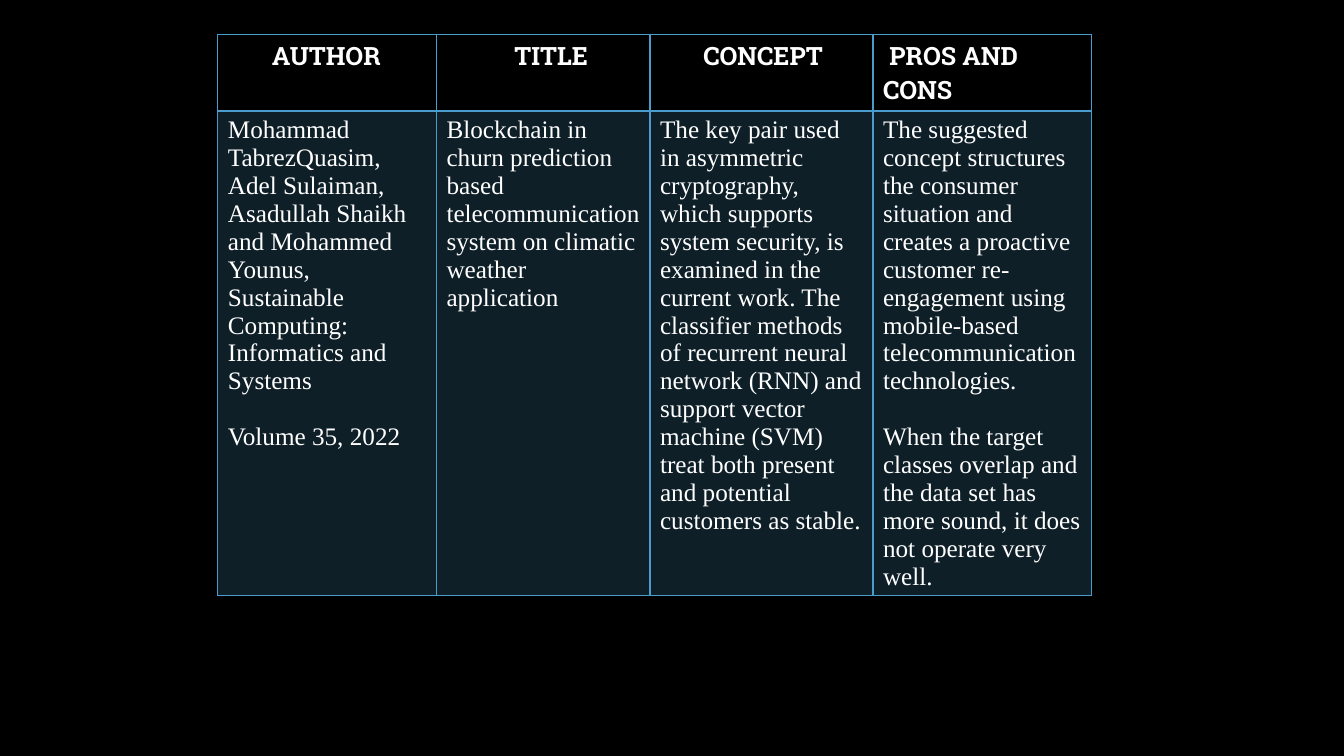
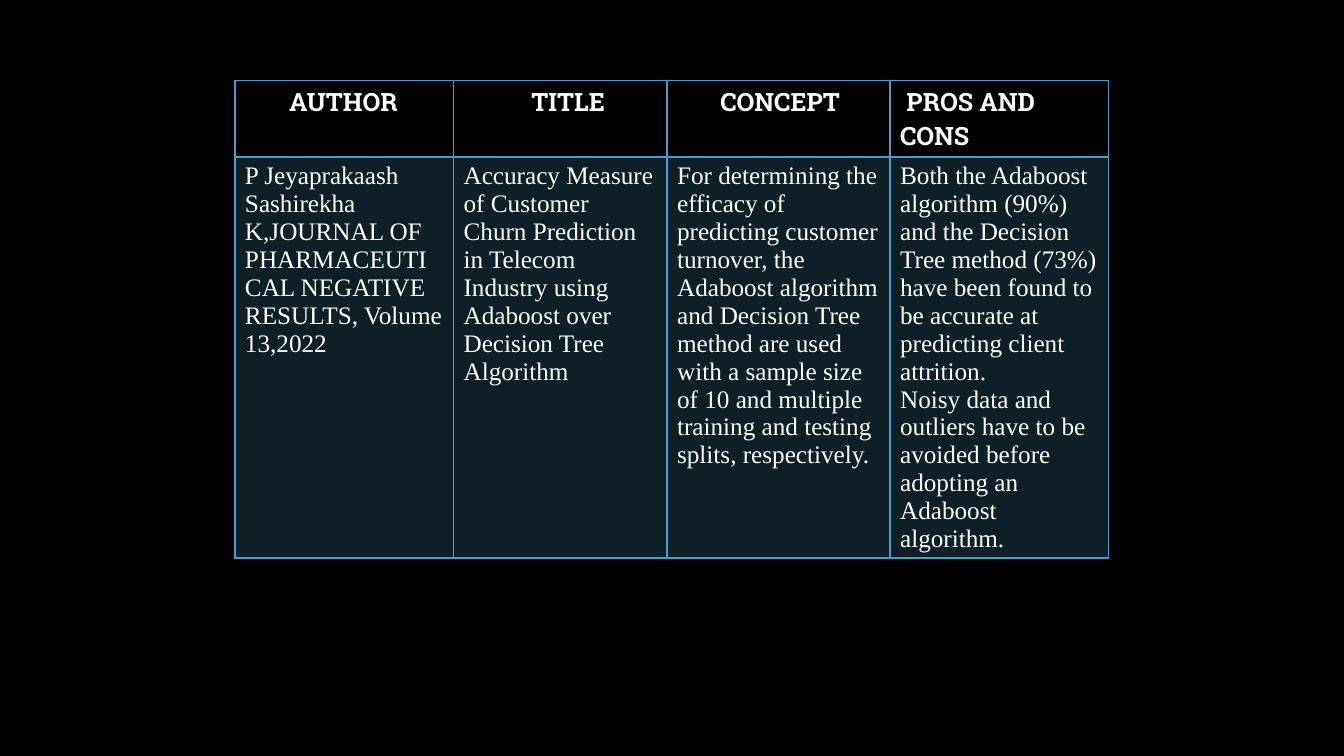
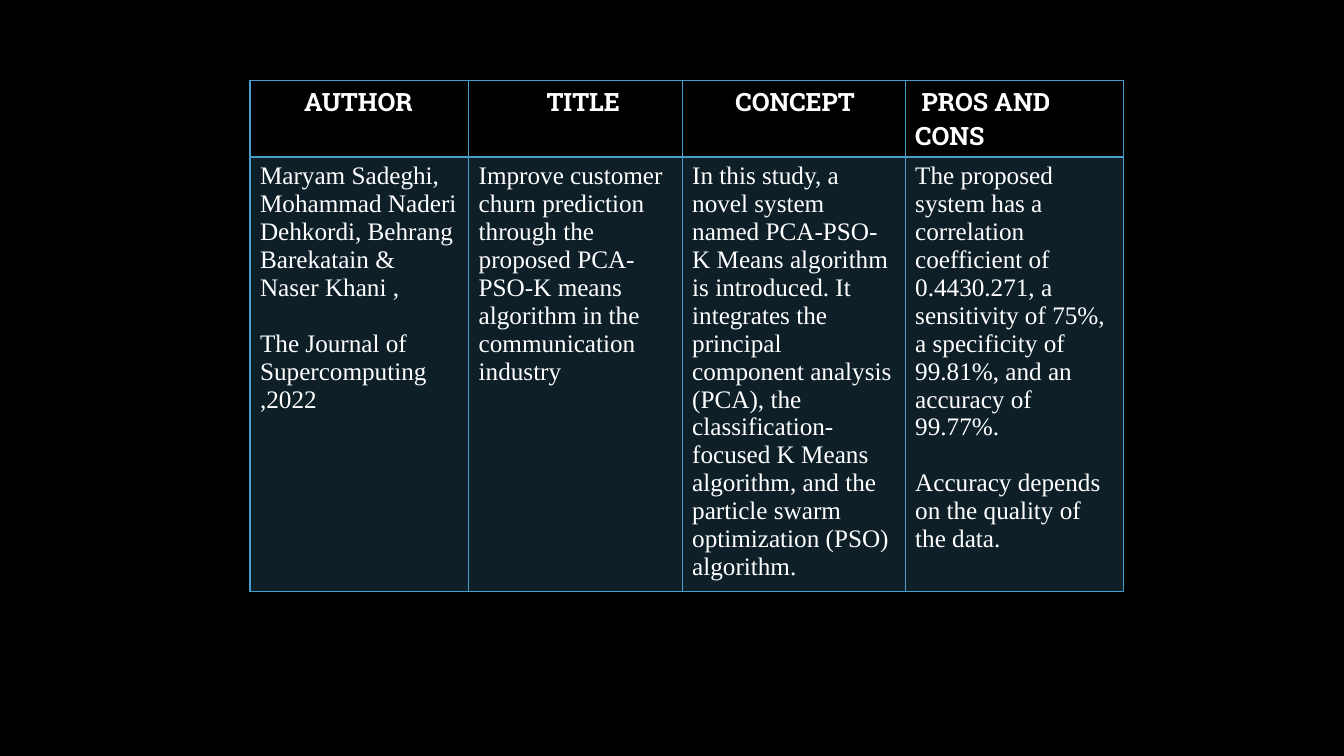
from lxml.etree import SubElement
from pptx import Presentation
from pptx.dml.color import RGBColor
from pptx.oxml import parse_xml
from pptx.oxml.ns import nsdecls, qn
from pptx.util import Cm, Pt

BLACK = RGBColor(0x00, 0x00, 0x00)
WHITE = RGBColor(0xFF, 0xFF, 0xFF)
BLUE = RGBColor(0x4A, 0x9C, 0xCC)

HEADING_FONT = "Roboto Slab"
BODY_FONT = "Times New Roman"
BODY_TINT = 20
HEADINGS = [("AUTHOR", 1.11), ("TITLE", 1.71), ("CONCEPT", 1.09), ("PROS AND CONS", 0.16)]
COLUMN_WIDTHS = [5.51, 5.38, 5.62, 5.51]
HEADER_HEIGHT = 1.92
BLANK_LAYOUT = 6

STUDIES = [
    {
        "left": 5.49, "top": 0.87, "body_height": 12.2, "cons_gap": 20,
        "entries": [
            ["Mohammad TabrezQuasim, Adel Sulaiman, Asadullah Shaikh and Mohammed Younus, "
             "Sustainable Computing: Informatics and Systems",
             "Volume 35, 2022"],
            ["Blockchain in churn prediction based telecommunication system on climatic "
             "weather application"],
            ["The key pair used in asymmetric cryptography, which supports system security, "
             "is examined in the current work. The classifier methods of recurrent neural "
             "network (RNN) and support vector machine (SVM) treat both present and potential "
             "customers as stable."],
            ["The suggested concept structures the consumer situation and creates a proactive "
             "customer re-engagement using mobile-based telecommunication technologies.",
             "When the target classes overlap and the data set has more sound, it does not "
             "operate very well."],
        ],
    },
    {
        "left": 5.92, "top": 2.03, "body_height": 10.08, "cons_gap": 0,
        "entries": [
            ["P Jeyaprakaash",
             "Sashirekha K,JOURNAL OF PHARMACEUTICAL NEGATIVE RESULTS, Volume 13,2022"],
            ["Accuracy Measure of Customer Churn Prediction in Telecom Industry using Adaboost "
             "over Decision Tree Algorithm"],
            ["For determining the efficacy of predicting customer turnover, the Adaboost "
             "algorithm and Decision Tree method are used with a sample size of 10 and multiple "
             "training and testing splits, respectively."],
            ["Both the Adaboost algorithm (90%) and the Decision Tree method (73%) have been "
             "found to be accurate at predicting client attrition.",
             "Noisy data and outliers have to be avoided before adopting an Adaboost algorithm."],
        ],
    },
    {
        "left": 6.3, "top": 2.03, "body_height": 10.95, "cons_gap": 20,
        "entries": [
            ["Maryam Sadeghi, Mohammad Naderi Dehkordi, Behrang Barekatain & Naser Khani ,",
             "The Journal of Supercomputing ,2022"],
            ["Improve customer churn prediction through the proposed PCA-PSO-K means algorithm "
             "in the communication industry"],
            ["In this study, a novel system named PCA-PSO-K Means algorithm is introduced. It "
             "integrates the principal component analysis (PCA), the classification-focused "
             "K Means algorithm, and the particle swarm optimization (PSO) algorithm."],
            ["The proposed system has a correlation coefficient of 0.4430.271, a sensitivity of "
             "75%, a specificity of 99.81%, and an accuracy of 99.77%.",
             "Accuracy depends on the quality of the data."],
        ],
    },
]


def write_text(cell, lines, font=BODY_FONT, bold=False, indent=0, gap=0):
    """Fill a cell with paragraphs, with a first-line indent and a gap between them."""
    for number, line in enumerate(lines):
        paragraph = cell.text_frame.paragraphs[0] if number == 0 else cell.text_frame.add_paragraph()
        if number:
            paragraph.space_before = Pt(gap)
        if indent:
            paragraph._p.get_or_add_pPr().set("indent", str(Cm(indent)))
        run = paragraph.add_run()
        run.text = line
        run.font.name = font
        run.font.size = Pt(18)
        run.font.bold = bold
        run.font.color.rgb = WHITE


def set_borders(cell, bottom=1):
    """Draw blue lines around a cell, with a chosen width in points at the bottom."""
    properties = cell._tc.get_or_add_tcPr()
    for position, (side, width) in enumerate([("L", 1), ("R", 1), ("T", 1), ("B", bottom)]):
        properties.insert(position, parse_xml(
            f'<a:ln{side} {nsdecls("a")} w="{Pt(width)}"><a:solidFill>'
            f'<a:srgbClr val="{BLUE}"/></a:solidFill></a:ln{side}>'))


def tint_cell(cell, percent):
    """Fill a cell with translucent blue."""
    cell.fill.solid()
    cell.fill.fore_color.rgb = BLUE
    color = cell._tc.tcPr.find(qn("a:solidFill")).find(qn("a:srgbClr"))
    SubElement(color, qn("a:alpha")).set("val", str(percent * 1000))


def add_study_table(slide, left, top, body_height, cons_gap, entries):
    """Add the four-column summary of one study."""
    study = slide.shapes.add_table(
        2, len(HEADINGS), Cm(left), Cm(top),
        Cm(sum(COLUMN_WIDTHS)), Cm(HEADER_HEIGHT + body_height)).table
    study.horz_banding = False
    study.rows[0].height = Cm(HEADER_HEIGHT)
    study.rows[1].height = Cm(body_height)
    for column, ((heading, indent), width, entry) in enumerate(zip(HEADINGS, COLUMN_WIDTHS, entries)):
        study.columns[column].width = Cm(width)
        header, body = study.cell(0, column), study.cell(1, column)
        write_text(header, [heading], font=HEADING_FONT, bold=True, indent=indent)
        header.fill.background()
        set_borders(header, bottom=2)
        write_text(body, entry, gap=cons_gap)
        tint_cell(body, BODY_TINT)
        set_borders(body)


def main():
    """Build the literature survey slides."""
    survey = Presentation()
    survey.slide_width, survey.slide_height = Cm(33.87), Cm(19.05)
    backdrop = survey.slide_master.background.fill
    backdrop.solid()
    backdrop.fore_color.rgb = BLACK
    for study in STUDIES:
        slide = survey.slides.add_slide(survey.slide_layouts[BLANK_LAYOUT])
        add_study_table(slide, **study)
    survey.save("out.pptx")


if __name__ == "__main__":
    main()
